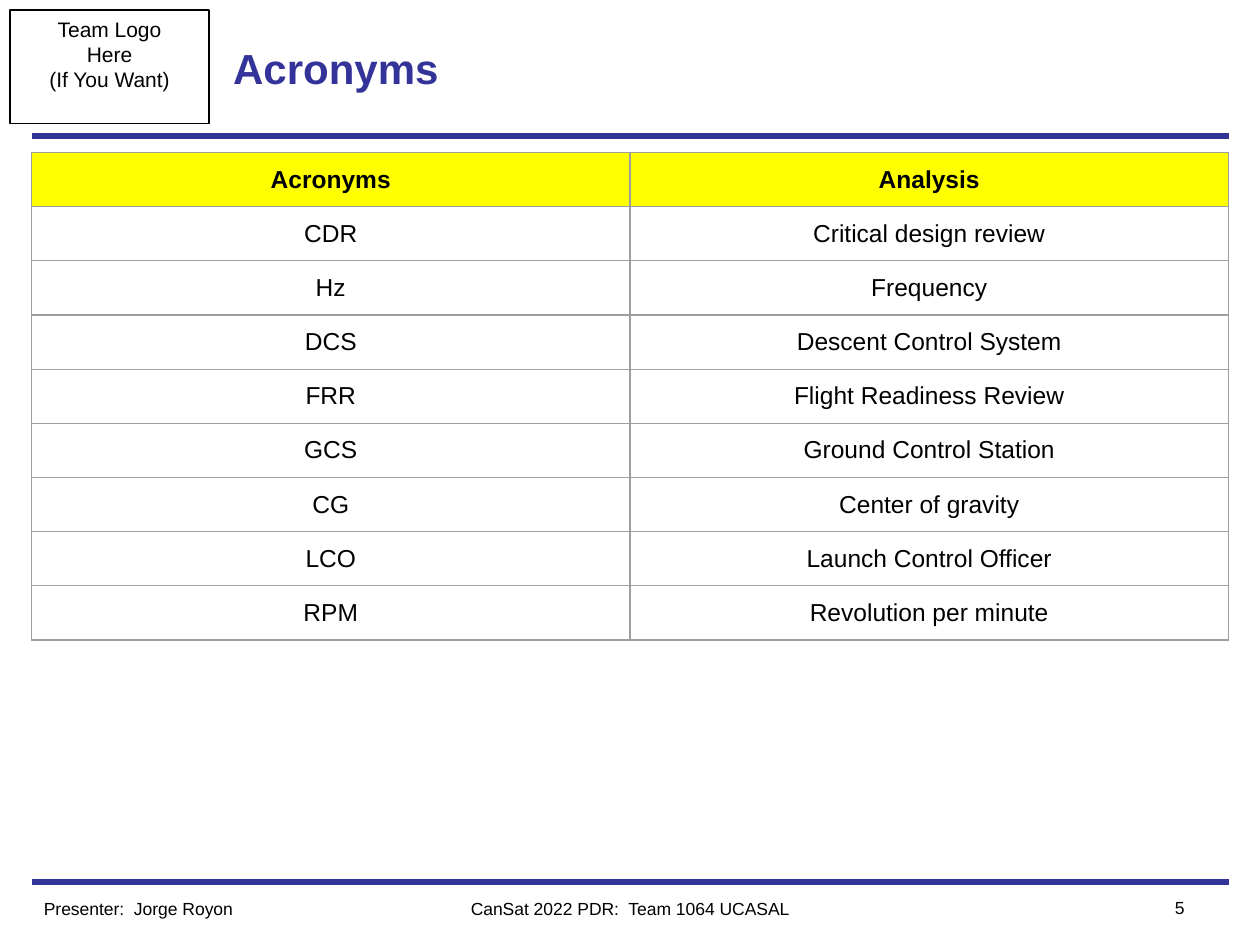
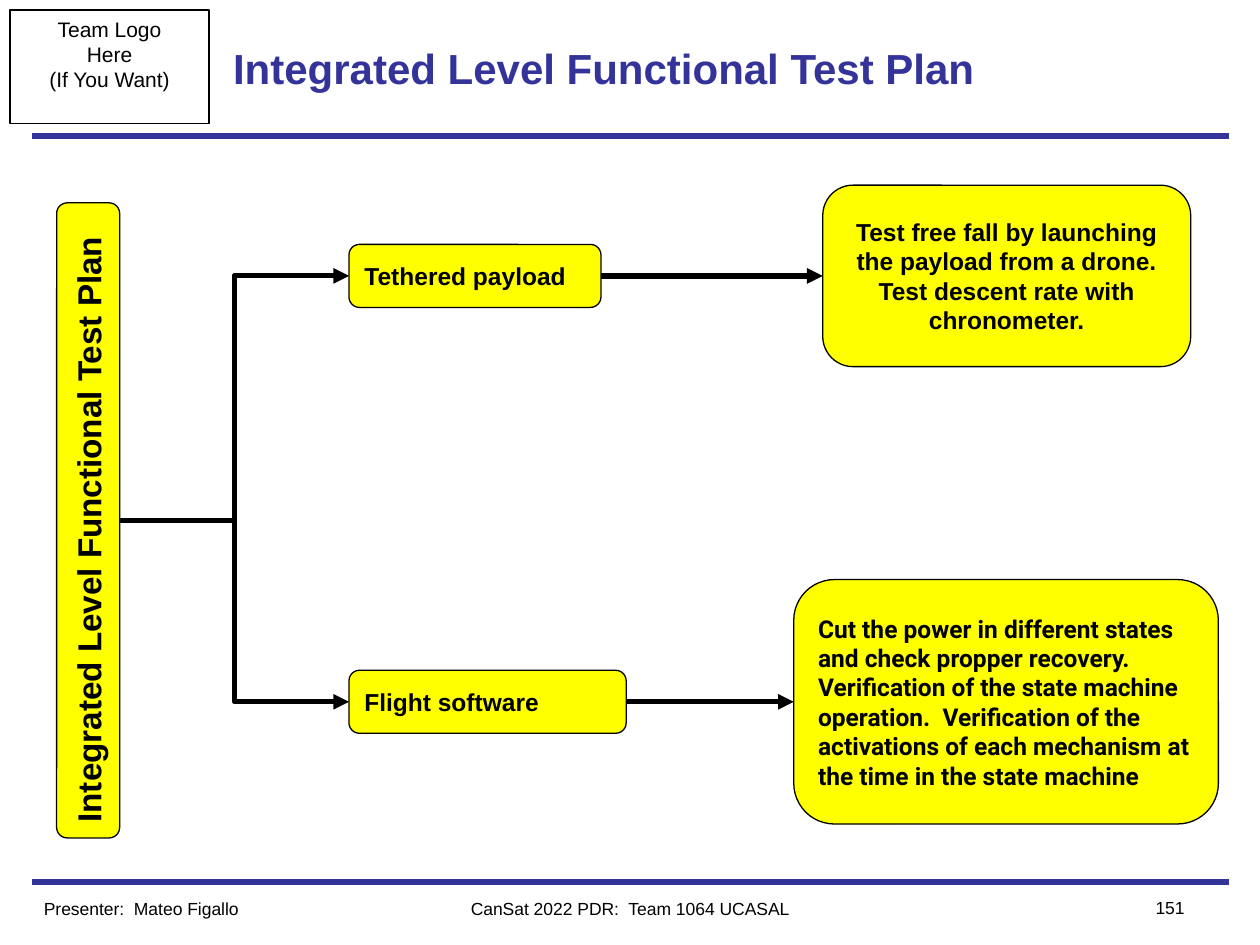
from dataclasses import dataclass

from lxml import etree
from pptx import Presentation
from pptx.dml.color import RGBColor
from pptx.enum.shapes import MSO_CONNECTOR, MSO_SHAPE
from pptx.enum.text import MSO_ANCHOR, MSO_AUTO_SIZE, PP_ALIGN
from pptx.oxml.ns import qn
from pptx.util import Pt

EMU_PER_PX = 9144  # 100 px to the inch
SLIDE_W, SLIDE_H = 1000, 750
RULE_LEFT, RULE_RIGHT = 25, 975
HEADER_RULE_Y, FOOTER_RULE_Y = 108, 700

LEFT, CENTER, RIGHT = PP_ALIGN.LEFT, PP_ALIGN.CENTER, PP_ALIGN.RIGHT
TOP, MIDDLE = MSO_ANCHOR.TOP, MSO_ANCHOR.MIDDLE
RECTANGLE, ROUNDED = MSO_SHAPE.RECTANGLE, MSO_SHAPE.ROUNDED_RECTANGLE
STRAIGHT, ELBOW = MSO_CONNECTOR.STRAIGHT, MSO_CONNECTOR.ELBOW

COLORS = {
    "navy": "333399",
    "highlight": "FFFF00",
    "ink": "000000",
    "grid": "9E9E9E",
}

ACRONYMS = [
    ("Acronyms", "Analysis"),
    ("CDR", "Critical design review"),
    ("Hz", "Frequency"),
    ("DCS", "Descent Control System"),
    ("FRR", "Flight Readiness Review"),
    ("GCS", "Ground Control Station"),
    ("CG", "Center of gravity"),
    ("LCO", "Launch Control Officer"),
    ("RPM", "Revolution per minute"),
]


@dataclass(frozen=True)
class TextStyle:
    size: int
    bold: bool = False
    color: str = "ink"
    font: str = "Arial"
    align: PP_ALIGN = LEFT


@dataclass(frozen=True)
class Box:
    left: int
    top: int
    width: int
    height: int

    @property
    def right(self) -> int:
        return self.left + self.width

    @property
    def middle(self) -> int:
        return self.top + self.height // 2

    def emu(self) -> list[int]:
        return [px(n) for n in (self.left, self.top, self.width, self.height)]


@dataclass(frozen=True)
class TestBranch:
    """One tested subsystem and the checks planned for it."""
    subject: str
    subject_box: Box
    checks: tuple[str, ...]
    checks_box: Box
    checks_style: TextStyle


TITLE = TextStyle(24, bold=True, color="navy")
LABEL = TextStyle(14, bold=True)

TEST_PLAN = "Integrated Level Functional Test Plan"
TEST_PLAN_BOX = Box(45, 161, 50, 504)
BRANCHES = [
    TestBranch(
        "Tethered payload", Box(277, 194, 200, 50),
        ("Test free fall by launching the payload from a drone.",
         "Test descent rate with chronometer."),
        Box(653, 147, 292, 144), TextStyle(14, bold=True, align=CENTER)),
    TestBranch(
        "Flight software", Box(277, 532, 220, 50),
        ("Cut the power in different states and check propper recovery.",
         "Verification of the state machine operation.  Verification of the "
         "activations of each mechanism at the time in the state machine"),
        Box(630, 460, 337, 194), TextStyle(14, bold=True, font="Roboto")),
]


def px(length: int) -> int:
    return length * EMU_PER_PX


def rgb(name: str) -> RGBColor:
    return RGBColor.from_string(COLORS[name])


def write(frame, lines, style: TextStyle, anchor=TOP, inset_y: int = 5) -> None:
    """Fill a text frame with one paragraph for each line."""
    frame.word_wrap = True
    frame.auto_size = MSO_AUTO_SIZE.NONE
    frame.vertical_anchor = anchor
    frame.margin_left = frame.margin_right = px(10)
    frame.margin_top = frame.margin_bottom = px(inset_y)
    for index, line in enumerate(lines):
        paragraph = frame.add_paragraph() if index else frame.paragraphs[0]
        paragraph.alignment = style.align
        run = paragraph.add_run()
        run.text = line
        run.font.name = style.font
        run.font.size = Pt(style.size)
        run.font.bold = style.bold
        run.font.color.rgb = rgb(style.color)


def add_outlined(slide, kind, box: Box, fill: str = ""):
    """Add a thin black outline, filled only when a colour is named."""
    shape = slide.shapes.add_shape(kind, *box.emu())
    shape.shadow.inherit = False
    shape.line.color.rgb = rgb("ink")
    shape.line.width = Pt(0.75)
    if fill:
        shape.fill.solid()
        shape.fill.fore_color.rgb = rgb(fill)
    else:
        shape.fill.background()
    return shape


def add_line(slide, start, end, color: str, kind=STRAIGHT, arrow: bool = False) -> None:
    line = slide.shapes.add_connector(kind, *(px(n) for n in (*start, *end)))
    line.line.color.rgb = rgb(color)
    line.line.width = Pt(3)
    properties = line.element.spPr
    if arrow:
        outline = properties.find(qn("a:ln"))
        etree.SubElement(outline, qn("a:tailEnd"), type="triangle")
    etree.SubElement(properties, qn("a:effectLst"))


def add_footer_text(slide, text: str, box: Box, align) -> None:
    frame = slide.shapes.add_textbox(*box.emu()).text_frame
    write(frame, [text], TextStyle(10, align=align))


def add_team_slide(prs, title: str, presenter: str, number: int):
    """Add a slide with the shared title, logo box, rules and footer."""
    slide = prs.slides.add_slide(prs.slide_layouts.get_by_name("Title Only"))
    for y in (FOOTER_RULE_Y, HEADER_RULE_Y):
        add_line(slide, (RULE_LEFT, y), (RULE_RIGHT, y), "navy")

    logo = add_outlined(slide, RECTANGLE, Box(8, 8, 158, 90))
    write(logo.text_frame, ["Team Logo", "Here", "(If You Want)"],
          TextStyle(12, align=CENTER))

    heading = slide.shapes.title
    heading.left, heading.top, heading.width, heading.height = Box(175, 8, 650, 92).emu()
    write(heading.text_frame, [title], TITLE, MIDDLE)

    add_footer_text(slide, f"Presenter:  {presenter}", Box(25, 708, 250, 27), LEFT)
    add_footer_text(slide, "CanSat 2022 PDR:  Team 1064 UCASAL",
                    Box(300, 708, 400, 27), CENTER)
    add_footer_text(slide, str(number), Box(875, 707, 75, 27), RIGHT)
    return slide


def add_cell_borders(cell) -> None:
    properties = cell._tc.get_or_add_tcPr()
    for side in ("lnL", "lnR", "lnT", "lnB"):
        border = etree.SubElement(properties, qn(f"a:{side}"), w=str(Pt(0.75)))
        fill = etree.SubElement(border, qn("a:solidFill"))
        etree.SubElement(fill, qn("a:srgbClr"), val=COLORS["grid"])


def add_acronym_table(slide) -> None:
    area = Box(RULE_LEFT, 121, RULE_RIGHT - RULE_LEFT, 43 * len(ACRONYMS))
    table = slide.shapes.add_table(len(ACRONYMS), 2, *area.emu()).table
    table.horz_banding = False
    for row, entry in enumerate(ACRONYMS):
        is_header = row == 0
        for column, text in enumerate(entry):
            cell = table.cell(row, column)
            add_cell_borders(cell)
            if is_header:
                cell.fill.solid()
                cell.fill.fore_color.rgb = rgb("highlight")
            else:
                cell.fill.background()
            cell.vertical_anchor = MIDDLE
            cell.margin_left = cell.margin_right = px(10)
            cell.margin_top = cell.margin_bottom = px(10)
            paragraph = cell.text_frame.paragraphs[0]
            paragraph.alignment = CENTER
            run = paragraph.add_run()
            run.text = text
            run.font.name = "Arial"
            run.font.size = Pt(14)
            run.font.bold = is_header
            run.font.color.rgb = rgb("ink")


def add_plan_box(slide, box: Box, lines, style: TextStyle):
    shape = add_outlined(slide, ROUNDED, box, "highlight")
    write(shape.text_frame, lines, style, MIDDLE, inset_y=10)
    return shape


def add_test_plan(slide) -> None:
    """Draw the upright plan bar and its branches."""
    bar = TEST_PLAN_BOX
    center_x = bar.left + bar.width // 2
    flat_bar = Box(center_x - bar.height // 2, bar.middle - bar.width // 2,
                   bar.height, bar.width)
    add_plan_box(slide, flat_bar, [TEST_PLAN], TextStyle(19, bold=True)).rotation = 270

    for branch in BRANCHES:
        subject, checks = branch.subject_box, branch.checks_box
        add_plan_box(slide, subject, [branch.subject], LABEL)
        add_plan_box(slide, checks, branch.checks, branch.checks_style)
        add_line(slide, (bar.right, bar.middle), (subject.left, subject.middle),
                 "ink", ELBOW, arrow=True)
        add_line(slide, (subject.right, subject.middle), (checks.left, subject.middle),
                 "ink", arrow=True)


def main() -> None:
    prs = Presentation()
    prs.slide_width, prs.slide_height = px(SLIDE_W), px(SLIDE_H)
    add_acronym_table(add_team_slide(prs, "Acronyms", "Jorge Royon", 5))
    add_test_plan(add_team_slide(prs, TEST_PLAN, "Mateo Figallo", 151))
    prs.save("out.pptx")


if __name__ == "__main__":
    main()
